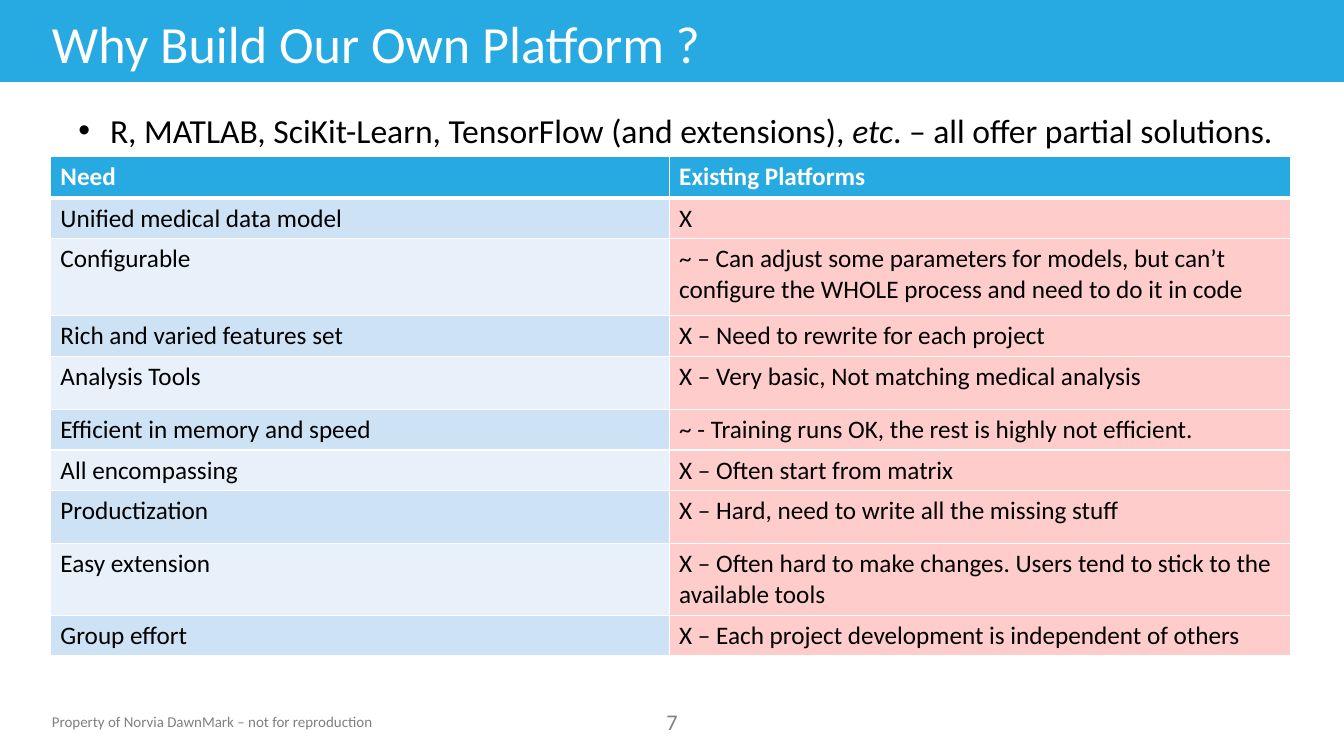
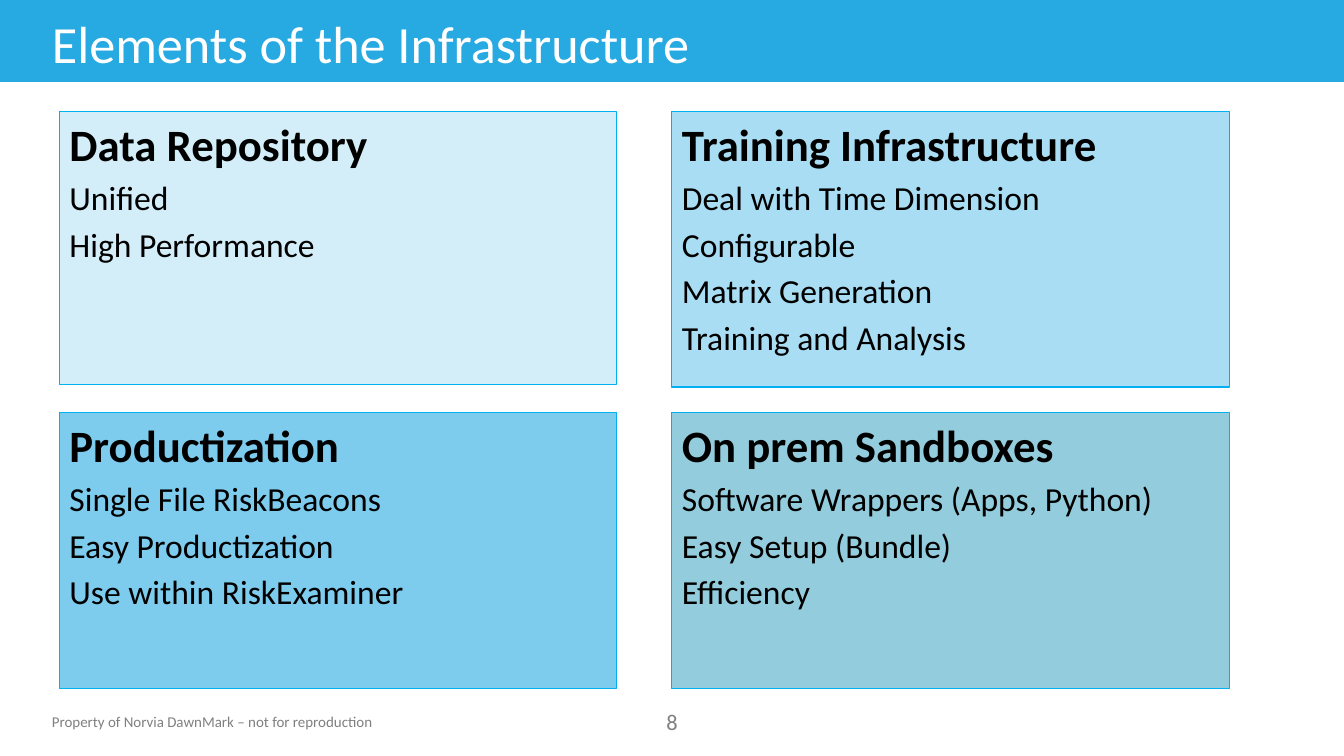
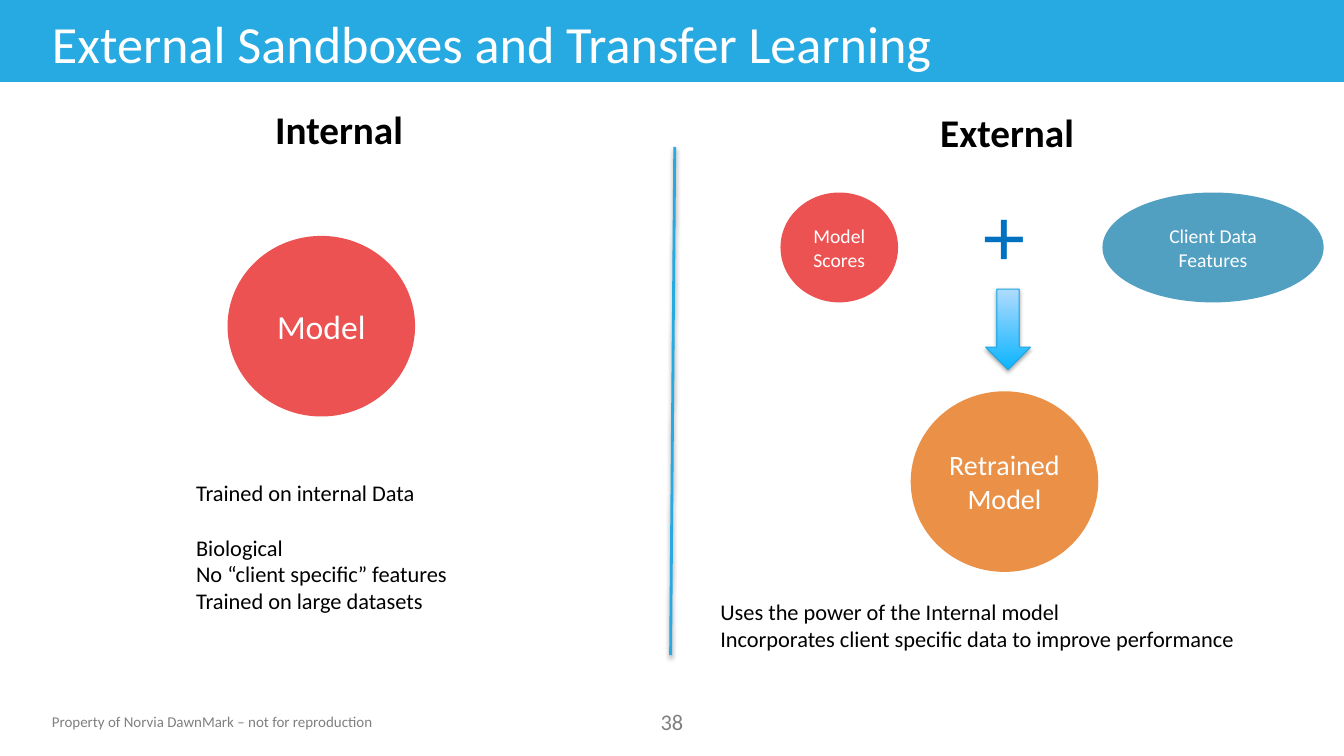
from dataclasses import dataclass

from lxml import etree
from pptx import Presentation
from pptx import util as u
from pptx.dml.color import RGBColor
from pptx.enum import shapes, text
from pptx.oxml import ns

Pt = u.Pt


@dataclass(frozen=True)
class Theme:
    font: str = "Calibri"
    # Colours
    brand: str = "27A9E1"
    white: str = "FFFFFF"
    black: str = "000000"
    grey: str = "808080"
    card_line: str = "00B0F0"
    cards: tuple = ("D4EEF9", "A9DDF3", "7DCBED", "93CDDD")
    row_bands: tuple = ("CDE2F4", "E8F1F9")
    verdict: str = "FF0000"
    model: str = "E51917"
    client: str = "1881AE"
    retrained: str = "E46C0A"
    plus: str = "0070C0"
    arrow_line: str = "22A7E1"
    arrow_stops: tuple = ("0BB4FD", "AFDBFF")
    # Type sizes
    title: float = 37.3
    symbol: float = 60
    card_head: float = 32
    column_head: float = 28
    body: float = 24
    node: float = 20
    table: float = 18
    note: float = 16
    label: float = 14
    footer: float = 10.7


THEME = Theme()
FOOTER = "Property of Norvia DawnMark – not for reproduction"


def rgb(value):
    return RGBColor.from_string(value)


def add_node(parent, tag, **attributes):
    node = etree.SubElement(parent, ns.qn(tag))
    for name, value in attributes.items():
        node.set(name, str(value))
    return node


class SlideBuilder:
    def __init__(self, deck):
        self.deck = deck
        self.page = None

    # Shared frame: band, footer, page number and title
    def start(self, title, number):
        self.page = self.deck.slides.add_slide(self.deck.slide_layouts[6])
        self.shape("RECTANGLE", (0, 0, 960, 58.5), THEME.brand)
        self.text((30, 505.5, 244, 20), [FOOTER], size=THEME.footer, color=THEME.grey)
        self.text((451, 502, 58, 26.5), [str(number)], align="CENTER",
                  size=THEME.note, color=THEME.grey)
        self.text((30, 4.5, 800, 52.5), [title], anchor="MIDDLE",
                  size=THEME.title, color=THEME.white)

    # Text: each paragraph is a string or a list of (string, format) spans
    def set_text(self, frame, paragraphs, align="LEFT", anchor="TOP", **style):
        frame.word_wrap = True
        frame.vertical_anchor = getattr(text.MSO_ANCHOR, anchor)
        for index, content in enumerate(paragraphs):
            para = frame.paragraphs[0] if index == 0 else frame.add_paragraph()
            para.alignment = getattr(text.PP_ALIGN, align)
            spans = [(content, {})] if isinstance(content, str) else content
            for words, changes in spans:
                span = para.add_run()
                span.text = words
                self.style_font(span.font, {**style, **changes})

    def style_font(self, font, style):
        values = {"name": THEME.font, "color": THEME.black, **style}
        font.color.rgb = rgb(values.pop("color"))
        values["size"] = Pt(values["size"])
        for name, value in values.items():
            setattr(font, name, value)

    def text(self, place, paragraphs, **style):
        box = self.page.shapes.add_textbox(*map(Pt, place))
        self.set_text(box.text_frame, paragraphs, **style)
        return box

    def bullet(self, place, spans, indent=22.5, **style):
        box = self.text(place, [spans], **style)
        properties = box.text_frame.paragraphs[0]._p.get_or_add_pPr()
        properties.set("marL", str(Pt(indent)))
        properties.set("indent", str(-Pt(indent)))
        add_node(properties, "a:buFont", typeface="Arial")
        add_node(properties, "a:buChar", char="•")

    # Shapes
    def solid(self, fill, color, alpha=None):
        fill.solid()
        fill.fore_color.rgb = rgb(color)
        if alpha:
            value = fill._xPr.find(".//" + ns.qn("a:solidFill") + "/" + ns.qn("a:srgbClr")
                                   ) if fill._xPr.find(ns.qn("a:lnL")) is None else \
                fill._xPr.find(ns.qn("a:solidFill")).find(ns.qn("a:srgbClr"))
            add_node(value, "a:alpha", val=alpha * 1000)

    def shape(self, kind, place, color=None, alpha=None, line=None):
        item = self.page.shapes.add_shape(
            getattr(shapes.MSO_SHAPE, kind), *map(Pt, place))
        item.shadow.inherit = False
        if color:
            self.solid(item.fill, color, alpha)
        if line:
            item.line.color.rgb = rgb(line)
            item.line.width = Pt(0.75)
        else:
            item.line.fill.background()
        return item

    def card(self, place, color, heading, items):
        box = self.shape("RECTANGLE", place, color, line=THEME.card_line)
        head = [(heading, {"size": THEME.card_head, "bold": True})]
        self.set_text(box.text_frame, [head, *items], size=THEME.body)
        for para in box.text_frame.paragraphs[1:]:
            para.space_before = Pt(4.5)

    def bubble(self, place, color, lines, size):
        oval = self.shape("OVAL", place, color, alpha=75)
        self.set_text(oval.text_frame, lines, "CENTER", "MIDDLE",
                      size=size, color=THEME.white)

    def cast_shadow(self, item, alpha, distance):
        properties = item._element.spPr
        for effects in properties.findall(ns.qn("a:effectLst")):
            properties.remove(effects)
        effects = add_node(properties, "a:effectLst")
        shadow = add_node(effects, "a:outerShdw", blurRad=Pt(3.1), dist=Pt(distance),
                          dir=90 * 60000, rotWithShape=0)
        value = add_node(shadow, "a:srgbClr", val=THEME.black)
        add_node(value, "a:alpha", val=alpha * 1000)

    def divider(self, start, end):
        line = self.page.shapes.add_connector(
            shapes.MSO_CONNECTOR.STRAIGHT, *map(Pt, start + end))
        line.line.color.rgb = rgb(THEME.brand)
        line.line.width = Pt(2)
        self.cast_shadow(line, 38, 1.6)

    def down_arrow(self, place):
        arrow = self.shape("DOWN_ARROW", place, line=THEME.arrow_line)
        arrow.fill.gradient()
        arrow.fill.gradient_angle = 90
        for stop, color in zip(arrow.fill.gradient_stops, THEME.arrow_stops):
            stop.color.rgb = rgb(color)
        self.cast_shadow(arrow, 35, 1.8)

    # Table
    def borders(self, cell, **widths):
        properties = cell._tc.get_or_add_tcPr()
        for side in "LRTB":
            line = add_node(properties, "a:ln" + side, w=Pt(widths.get(side, 1)))
            add_node(add_node(line, "a:solidFill"), "a:srgbClr", val=THEME.white)

    def table(self, left, top, widths, heights, rows):
        frame = self.page.shapes.add_table(
            len(rows), len(widths), *map(Pt, (left, top, sum(widths), sum(heights))))
        grid = frame.table
        for column, width in zip(grid.columns, widths):
            column.width = Pt(width)
        for index, (row, height) in enumerate(zip(rows, heights)):
            grid.rows[index].height = Pt(height)
            for position, words in enumerate(row):
                cell = grid.cell(index, position)
                header = index == 0
                self.borders(cell, **({"B": 3} if header else {"T": 3} if index == 1 else {}))
                if header:
                    self.solid(cell.fill, THEME.brand)
                elif position == 0:
                    self.solid(cell.fill, THEME.row_bands[(index - 1) % 2])
                else:
                    self.solid(cell.fill, THEME.verdict, alpha=20)
                self.set_text(cell.text_frame, [words], size=THEME.table, bold=header,
                              color=THEME.white if header else THEME.black)


def platform_slide(builder):
    builder.start("Why Build Our Own Platform ?", 7)
    rows = [
        ("Need", "Existing Platforms"),
        ("Unified medical data model", "X"),
        ("Configurable", "~ – Can adjust some parameters for models, but can’t "
                         "configure the WHOLE process and need to do it in code"),
        ("Rich and varied features set", "X – Need to rewrite for each project"),
        ("Analysis Tools", "X – Very basic, Not matching medical analysis"),
        ("Efficient in memory and speed",
         "~ - Training runs OK, the rest is highly not efficient."),
        ("All encompassing", "X – Often start from matrix"),
        ("Productization", "X – Hard, need to write all the missing stuff"),
        ("Easy extension", "X – Often hard to make changes. Users tend to stick "
                           "to the available tools"),
        ("Group effort", "X – Each project development is independent of others"),
    ]
    heights = [30, 29, 55, 29, 38, 29, 29, 38, 51, 29]
    builder.table(36, 111.5, (442, 444), heights, rows)
    builder.bullet((49, 75, 880, 36), [
        ("R, MATLAB, SciKit-Learn, TensorFlow (and extensions), ", {}),
        ("etc", {"italic": True}),
        (". – all offer partial solutions.", {}),
    ], size=THEME.body)


def elements_slide(builder):
    builder.start("Elements of the Infrastructure", 8)
    cards = [
        ("Data Repository", ["Unified", "High Performance"]),
        ("Training Infrastructure", ["Deal with Time Dimension", "Configurable",
                                     "Matrix Generation", "Training and Analysis"]),
        ("Productization", ["Single File RiskBeacons", "Easy Productization",
                            "Use within RiskExaminer"]),
        ("On prem Sandboxes", ["Software Wrappers (Apps, Python)",
                               "Easy Setup (Bundle)", "Efficiency"]),
    ]
    for index, (heading, items) in enumerate(cards):
        row, column = divmod(index, 2)
        height = 194.5 if index == 0 else 196.5
        place = (42.5 + column * 437.5, 80 + row * 215, 398, height)
        builder.card(place, THEME.cards[index], heading, items)


def transfer_slide(builder):
    builder.start("External Sandboxes and Transfer Learning", 38)
    builder.divider((482, 105), (479, 468))

    # Internal side
    heading = {"size": THEME.column_head, "bold": True}
    builder.text((189.5, 72, 112, 41), ["Internal"], **heading)
    builder.bubble((162.5, 168.5, 134, 129), THEME.model, ["Model"], THEME.body)
    notes = builder.text((133, 339, 225, 107), [
        "Trained on internal Data", "Biological",
        "No “client specific” features", "Trained on large datasets",
    ], size=THEME.note)
    notes.text_frame.paragraphs[1].space_before = Pt(19.5)

    # External side
    builder.text((664.5, 73.5, 116, 41), ["External"], **heading)
    builder.bubble((557.5, 137.5, 84, 78.5), THEME.model,
                   ["Model", "Scores"], THEME.label)
    builder.text((695.5, 127, 46, 80), ["+"], size=THEME.symbol, color=THEME.plus)
    builder.bubble((787.5, 137.5, 158, 78.5), THEME.client,
                   ["Client Data", "Features"], THEME.label)
    builder.down_arrow((704, 206.5, 32, 57.5))
    builder.bubble((650.5, 279.5, 134, 129), THEME.retrained,
                   ["Retrained", "Model"], THEME.node)
    builder.text((507.5, 423.5, 390, 46), [
        "Uses the power of the Internal model",
        "Incorporates client specific data to improve performance",
    ], size=THEME.note)


def main():
    deck = Presentation()
    deck.slide_width, deck.slide_height = Pt(960), Pt(540)
    builder = SlideBuilder(deck)
    for build in (platform_slide, elements_slide, transfer_slide):
        build(builder)
    deck.save("out.pptx")


if __name__ == "__main__":
    main()
